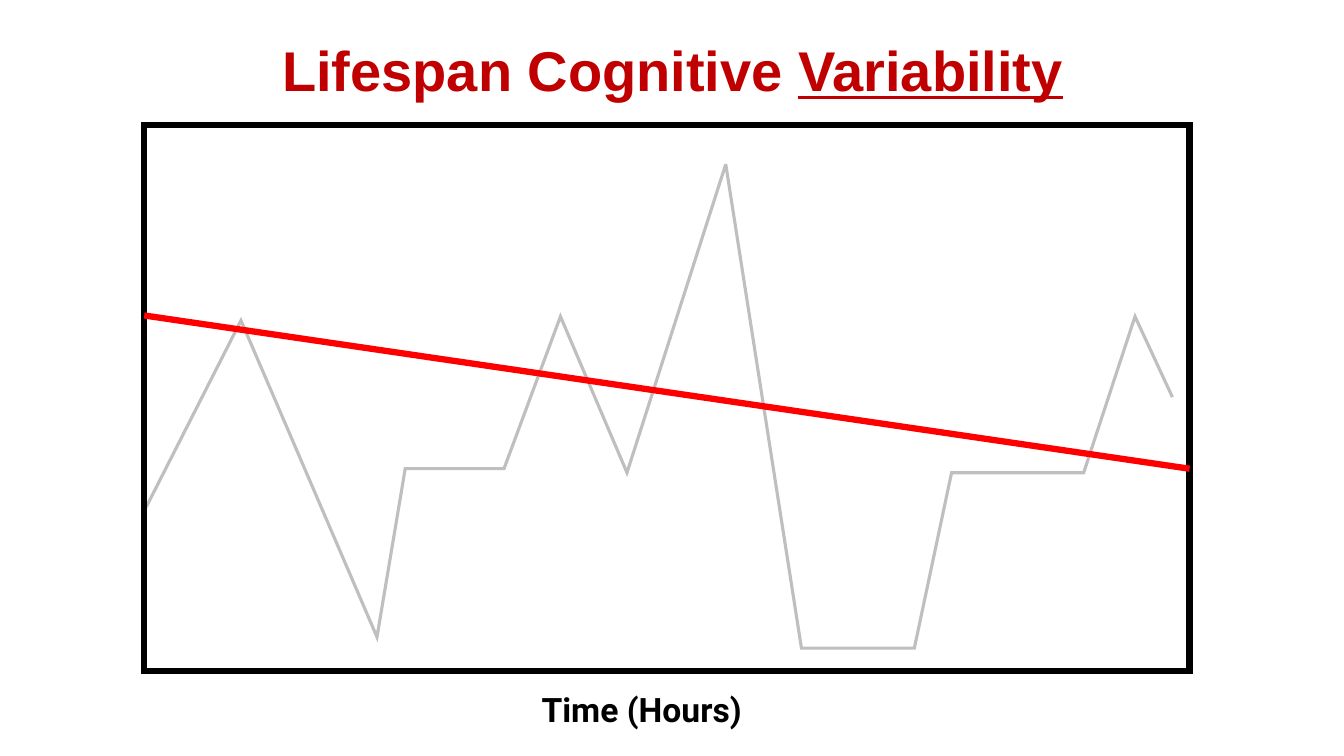
from lxml import etree
from pptx import Presentation
from pptx.dml.color import RGBColor
from pptx.enum.shapes import MSO_CONNECTOR, MSO_SHAPE
from pptx.enum.text import MSO_ANCHOR, PP_ALIGN
from pptx.oxml.ns import qn
from pptx.util import Inches, Pt

RECTANGLE = MSO_SHAPE.RECTANGLE
STRAIGHT = MSO_CONNECTOR.STRAIGHT
MIDDLE = MSO_ANCHOR.MIDDLE
CENTER = PP_ALIGN.CENTER

COLORS = {"title": "C00000", "label": "000000", "frame": "000000",
          "scores": "BFBFBF", "trend": "FF0000"}
TITLE_FORMAT = {"name": "Arial", "size": Pt(40), "bold": True}
LABEL_FORMAT = {"name": "Roboto", "size": Pt(24), "bold": True}
FRAME_FORMAT = {"word_wrap": True, "vertical_anchor": MIDDLE,
                "margin_top": 0, "margin_bottom": 0}

SCORES = [(10.88, 67.07), (17.93, 42.4), (28.05, 84.27), (30.15, 62), (37.5, 62),
          (41.7, 41.87), (46.65, 62.53), (54, 21.73), (59.63, 85.73), (68.03, 85.73),
          (70.8, 62.53), (80.63, 62.53), (84.45, 41.87), (87.23, 52.53)]


class SlideBuilder:
    """Draws styled elements on one slide, with lengths in percent of its size."""

    def __init__(self, presentation):
        self.width = presentation.slide_width
        self.height = presentation.slide_height
        self.slide = presentation.slides.add_slide(presentation.slide_layouts[6])

    def place(self, *lengths):
        """Turn alternating horizontal and vertical percentages into EMU."""
        sides = (self.width, self.height) * 2
        return [round(side * length / 100) for side, length in zip(sides, lengths)]

    def apply(self, target, values):
        """Set each attribute of the target from a dict."""
        for name, value in values.items():
            setattr(target, name, value)

    def stroke(self, shape, color, width):
        """Give a shape a solid line with pointed joins."""
        shape.line.color.rgb = RGBColor.from_string(COLORS[color])
        shape.line.width = Pt(width)
        etree.SubElement(shape.line._get_or_add_ln(), qn("a:miter"), lim="800000")

    def text(self, box, runs, color, font_format):
        """Add centred text, given as pairs of wording and underline."""
        shape = self.slide.shapes.add_textbox(*self.place(*box))
        self.apply(shape.text_frame, FRAME_FORMAT)
        paragraph = shape.text_frame.paragraphs[0]
        paragraph.alignment = CENTER
        for wording, underline in runs:
            run = paragraph.add_run()
            run.text = wording
            self.apply(run.font, {**font_format, "underline": underline})
            run.font.color.rgb = RGBColor.from_string(COLORS[color])

    def frame(self, box, color, width):
        """Add an unfilled rectangle."""
        shape = self.slide.shapes.add_shape(RECTANGLE, *self.place(*box))
        shape.shadow.inherit = False
        shape.fill.background()
        self.stroke(shape, color, width)

    def polyline(self, points, color, width):
        """Add an open line through the points."""
        start, *others = [self.place(*point) for point in points]
        builder = self.slide.shapes.build_freeform(*start)
        builder.add_line_segments(others, close=False)
        shape = builder.convert_to_shape()
        shape.shadow.inherit = False
        shape.fill.background()
        self.stroke(shape, color, width)

    def line(self, ends, color, width):
        """Add a straight connector."""
        connector = self.slide.shapes.add_connector(STRAIGHT, *self.place(*ends))
        self.stroke(connector, color, width)
        etree.SubElement(connector._element.spPr, qn("a:effectLst"))


def main():
    """Build and save the slide."""
    presentation = Presentation()
    presentation.slide_width = Inches(13.33)
    presentation.slide_height = Inches(7.5)
    builder = SlideBuilder(presentation)
    builder.text((39.3, 90.93, 16.88, 5.73), [("Time (Hours)", None)], "label", LABEL_FORMAT)
    builder.text((17.18, 1.73, 65.7, 14.8),
                 [("Lifespan Cognitive ", None), ("Variability", True)], "title", TITLE_FORMAT)
    builder.polyline(SCORES, "scores", 2.25)
    builder.frame((10.73, 16.53, 77.78, 72.27), "frame", 4.5)
    builder.line((10.73, 41.73, 88.51, 62), "trend", 4.5)
    presentation.save("out.pptx")


if __name__ == "__main__":
    main()
